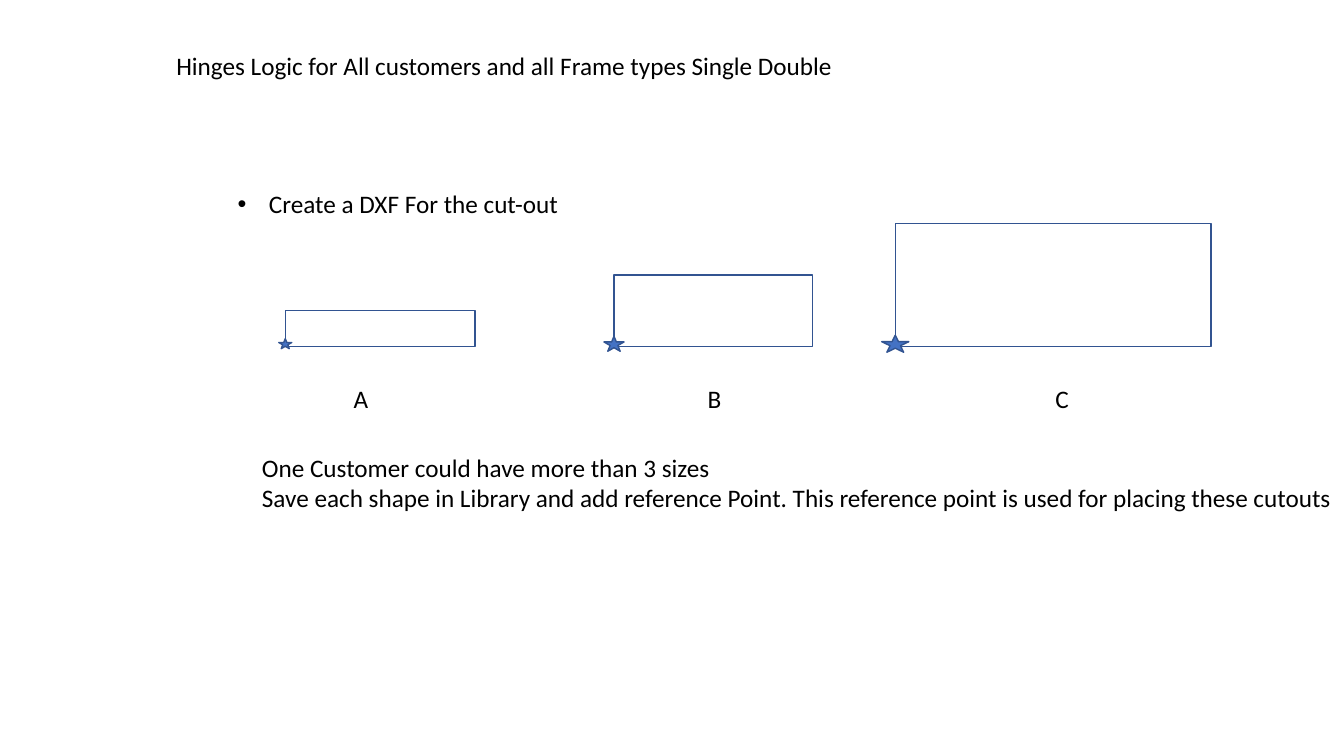
from pptx import Presentation
from pptx.dml.color import RGBColor
from pptx.enum.shapes import MSO_SHAPE as SHAPE
from pptx.util import Inches, Pt
from lxml.etree import SubElement
from pptx.oxml.ns import qn

FONT = {"name": "Calibri", "size": Pt(18)}
BLACK, BLUE, NAVY = "000000", "4472C4", "325491"
BASELINE = 3.44
STAR_RISE = 0.03
CUTOUTS = [
    ("A", (2.83, 1.88, 0.36), (0.13, 0.1), (3.41, 0.35)),
    ("B", (6.09, 1.97, 0.71), (0.2, 0.15), (6.92, 0.34)),
    ("C", (8.88, 3.13, 1.22), (0.27, 0.17), (10.37, 0.34)),
]


def rgb(value):
    return RGBColor.from_string(value)


def add_text(s, box, lines, wrap=False):
    tf = s.shapes.add_textbox(*map(Inches, box)).text_frame
    tf.word_wrap = wrap
    for i, line in enumerate(lines):
        p = tf.paragraphs[0] if i == 0 else tf.add_paragraph()
        r = p.add_run()
        r.text = line
        for key, value in FONT.items():
            setattr(r.font, key, value)
        r.font.color.rgb = rgb(BLACK)
    return tf


def add_bullet(s, box, line):
    p = add_text(s, box, [line]).paragraphs[0]
    pPr = p._p.get_or_add_pPr()
    pPr.set("marL", str(Inches(0.31)))
    pPr.set("indent", str(-Inches(0.31)))
    SubElement(pPr, qn("a:buFont"), typeface="Arial")
    SubElement(pPr, qn("a:buChar"), char="•")


def add_outline(s, kind, box, fill=None):
    sp = s.shapes.add_shape(kind, *map(Inches, box))
    sp.shadow.inherit = False
    if fill:
        sp.fill.solid()
        sp.fill.fore_color.rgb = rgb(fill)
    else:
        sp.fill.background()
    sp.line.color.rgb = rgb(NAVY)
    sp.line.width = Pt(1)


def add_cutout(s, name, frame, star, label):
    left, width, height = frame
    star_w, star_h = star
    label_left, label_w = label
    add_outline(s, SHAPE.RECTANGLE, (left, BASELINE - height, width, height))
    star_box = (left - star_w / 2, BASELINE - STAR_RISE - star_h / 2, star_w, star_h)
    add_outline(s, SHAPE.STAR_5_POINT, star_box, BLUE)
    add_text(s, (label_left, BASELINE + 0.31, label_w, 0.4), [name])


def hinges_slide(prs):
    s = prs.slides.add_slide(prs.slide_layouts[6])
    add_text(s, (1.65, 0.45, 8.49, 0.71),
             ["Hinges Logic for All customers and all Frame types Single Double"], wrap=True)
    add_bullet(s, (2.26, 1.82, 3.43, 0.4), "Create a DXF For the cut-out")
    for cutout in CUTOUTS:
        add_cutout(s, *cutout)
    add_text(s, (2.5, 4.44, 10.83, 0.71), [
        "One Customer could have more than 3 sizes",
        "Save each shape in Library and add reference Point. "
        "This reference point is used for placing these cutouts",
    ])


prs = Presentation()
prs.slide_width, prs.slide_height = Inches(13.33), Inches(7.5)
hinges_slide(prs)
prs.save("out.pptx")
